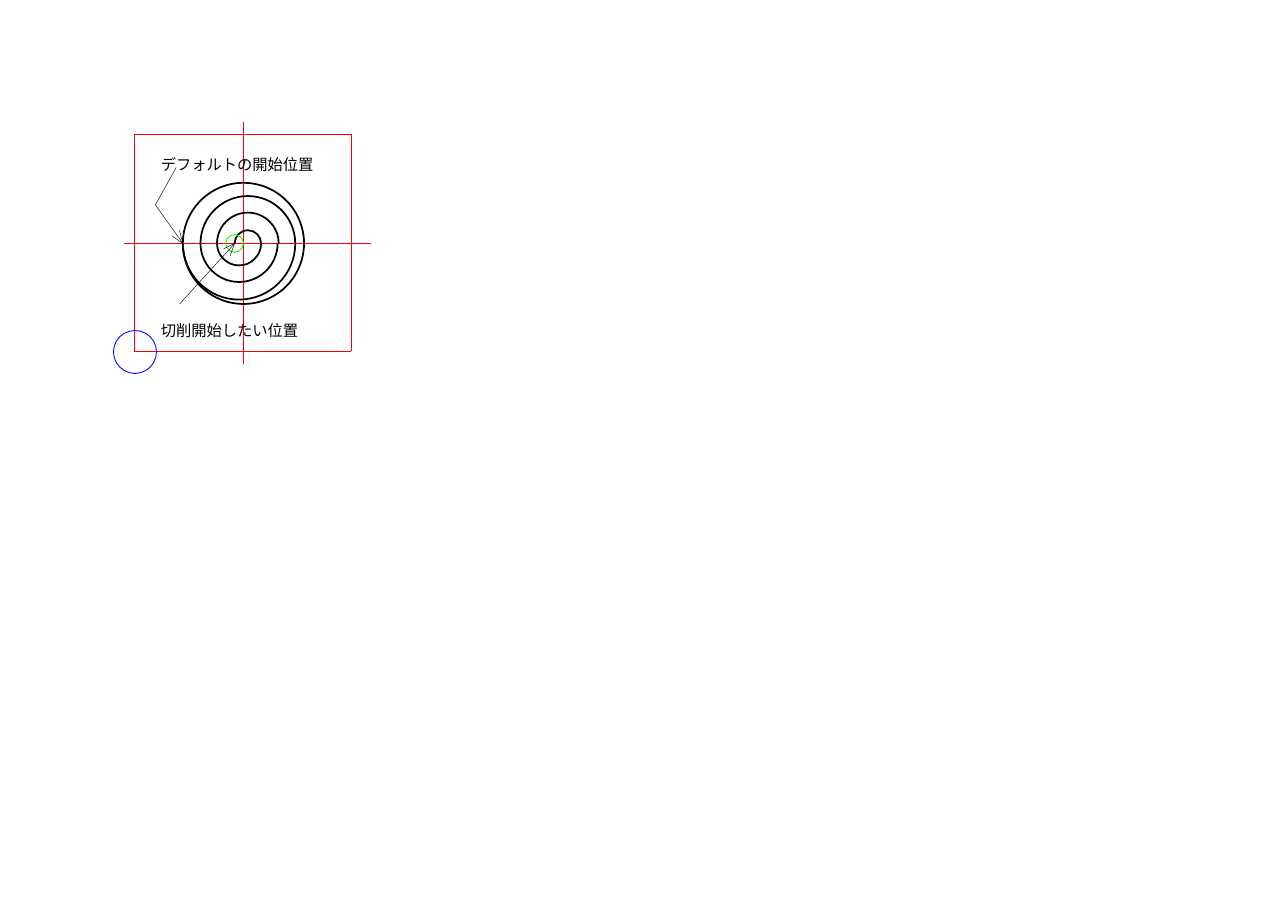
import pptx
import pptx.util
import pptx.dml.color
import pptx.enum.shapes
import pptx.enum.text
import pptx.oxml
import pptx.oxml.ns

Inches, Pt = pptx.util.Inches, pptx.util.Pt
HUES = {"red": "FF0000", "blue": "0000FF", "green": "00FF00", "black": "000000"}
FONT = "Noto Sans CJK JP"
THIN, FINE, BOLD = 0.28, 0.57, 1.13
MID, LOW, HIGH = 2.21, 1.22, 3.19

FRAME = [
    (LOW, HIGH, HIGH, HIGH),
    (HIGH, LOW, HIGH, HIGH),
    (LOW, LOW, HIGH, LOW),
    (LOW, LOW, LOW, HIGH),
    (1.13, MID, 3.37, MID),
    (MID, 1.11, MID, 3.3),
]
CORNER = (1.03, 3, 0.39, "blue", FINE)
RINGS = [(1.66, 1.66, 1.1, "black", BOLD), (2.05, 2.13, 0.16, "green", FINE)]
TURNS = [0.12, 0.2, 0.28, 0.35, 0.43, 0.51]
SHIFT, BEND = 0.04, 0.55
LABELS = [
    ("デフォルトの開始位置", 1.46, 1.33, 1.51),
    ("切削開始したい位置", 1.46, 2.83, 1.36),
]
LEADER = (1.41, 1.86, 1.6, 1.52)
ARROWS = [
    ((1.41, 1.86, 1.66, MID), [(1.56, 2.14), (1.66, MID), (1.63, 2.09)]),
    ((1.63, 2.76, 2.13, MID), [(2.09, 2.32), (2.13, MID), (2.03, 2.26)]),
]


def tint(hue):
    return pptx.dml.color.RGBColor.from_string(HUES[hue])


def set_all(item, look):
    for name, value in look.items():
        setattr(item, name, value)


def stroke(shape, hue, width):
    shape.line.color.rgb = tint(hue)
    shape.line.width = Pt(width)


def add_line(home, ends, hue, width):
    kind = pptx.enum.shapes.MSO_CONNECTOR.STRAIGHT
    line = home.add_connector(kind, *[Inches(n) for n in ends])
    stroke(line, hue, width)
    line._element.spPr.append(pptx.oxml.parse_xml(
        "<a:effectLst %s/>" % pptx.oxml.ns.nsdecls("a")))


def outline(shape, hue, width):
    shape.fill.background()
    shape.shadow.inherit = False
    stroke(shape, hue, width)


def add_ring(home, x, y, size, hue, width):
    box = [Inches(n) for n in (x, y, size, size)]
    ring = home.add_shape(pptx.enum.shapes.MSO_SHAPE.OVAL, *box)
    outline(ring, hue, width)


def add_free(home, dots, hue, width):
    dots = [(Inches(x), Inches(y)) for x, y in dots]
    pen = home.build_freeform(*dots[0])
    pen.add_line_segments(dots[1:], close=False)
    shape = pen.convert_to_shape()
    outline(shape, hue, width)
    return shape


def bend(shape):
    legs = list(shape._element.iter(pptx.oxml.ns.qn("a:lnTo")))
    for n in range(0, len(legs), 3):
        curve = pptx.oxml.parse_xml(
            "<a:cubicBezTo %s/>" % pptx.oxml.ns.nsdecls("a"))
        legs[n].addprevious(curve)
        for leg in legs[n:n + 3]:
            curve.append(leg[0])
            leg.getparent().remove(leg)


def add_turn(home, turn, size):
    side = 1 if turn % 2 == 0 else -1
    grid = [(-1, 0), (-1, BEND), (-BEND, 1), (0, 1),
            (BEND, 1), (1, BEND), (1, 0)]
    dots = [(MID + side * (SHIFT + size * x), MID - side * size * y)
            for x, y in grid]
    bend(add_free(home, dots, "black", BOLD))


def add_label(home, text, x, y, wide):
    box = home.add_textbox(Inches(x), Inches(y), Inches(wide), Inches(0.19))
    frame = box.text_frame
    set_all(frame, {
        "margin_left": 0, "margin_right": 0, "margin_top": 0,
        "margin_bottom": 0, "word_wrap": False,
        "auto_size": pptx.enum.text.MSO_AUTO_SIZE.SHAPE_TO_FIT_TEXT,
    })
    para = frame.paragraphs[0]
    para.line_spacing = Pt(18)
    run = para.add_run()
    run.text = text
    set_all(run.font, {"name": FONT, "size": Pt(10)})
    run.font.color.rgb = tint("black")
    run._r.get_or_add_rPr().append(pptx.oxml.parse_xml(
        '<a:ea %s typeface="%s"/>' % (pptx.oxml.ns.nsdecls("a"), FONT)))


def main():
    deck = pptx.Presentation()
    set_all(deck, {"slide_width": Inches(11.69), "slide_height": Inches(8.27)})
    home = deck.slides.add_slide(deck.slide_layouts[6]).shapes
    for ends in FRAME:
        add_line(home, ends, "red", FINE)
    add_ring(home, *CORNER)
    for turn, size in enumerate(TURNS):
        add_turn(home, turn, size)
    for ring in RINGS:
        add_ring(home, *ring)
    for label in LABELS:
        add_label(home, *label)
    add_line(home, LEADER, "black", THIN)
    for ends, head in ARROWS:
        group = home.add_group_shape().shapes
        add_line(group, ends, "black", THIN)
        add_free(group, head, "black", THIN)
    deck.save("out.pptx")


if __name__ == "__main__":
    main()
